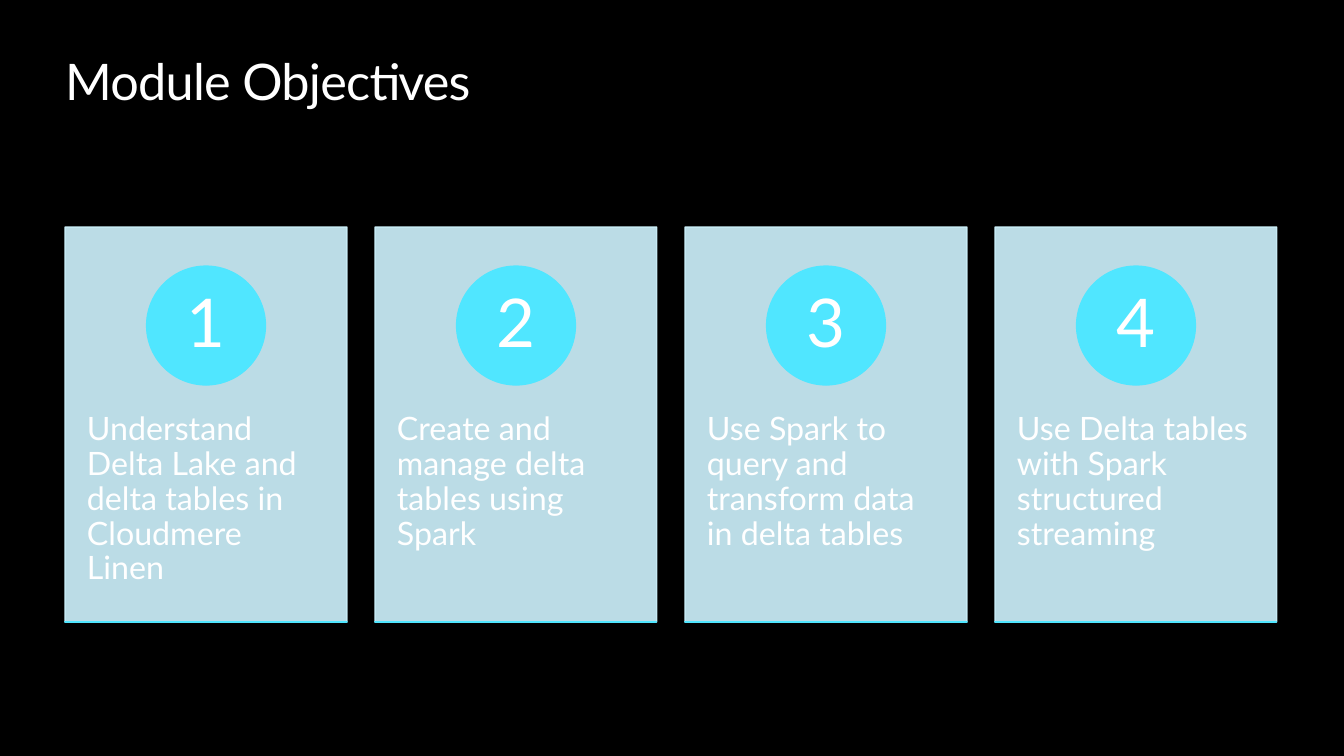
"""Build the Module Objectives slide: a title above four numbered cards."""
from pptx import Presentation
from pptx import util as u
from pptx.dml.color import RGBColor
from pptx.enum import shapes, text
from pptx.oxml import parse_xml
from pptx.oxml.ns import nsdecls

BLACK = RGBColor(0x00, 0x00, 0x00)
WHITE = RGBColor(0xFF, 0xFF, 0xFF)
PALE_BLUE = RGBColor(0xD0, 0xF5, 0xFF)
CYAN = RGBColor(0x50, 0xE6, 0xFF)
PX = 914400 / 100.8
FONT = "Lato"

CARD_LEFT, CARD_TOP, CARD_WIDTH, CARD_HEIGHT = 65, 227, 282, 395
CARD_STEP = 310
CIRCLE_TOP, CIRCLE_SIZE = 266, 119
NUMBER_TOP, NUMBER_SIZE = 284, 83
OBJECTIVE_TOP, OBJECTIVE_HEIGHT = 377, 237

OBJECTIVES = [
    "Understand Delta Lake and delta tables in Cloudmere Linen",
    "Create and manage delta tables using Spark",
    "Use Spark to query and transform data in delta tables",
    "Use Delta tables with Spark structured streaming",
]


def add_block(group, kind, box, color, opacity=100):
    """Add a shape whose fill and outline share one colour and opacity."""
    shape = group.shapes.add_shape(kind, *(round(n * PX) for n in box))
    shape.shadow.inherit = False
    shape.fill.solid()
    shape.fill.fore_color.rgb = color
    shape.line.color.rgb = color
    shape.line.width = u.Pt(0.85)
    if opacity < 100:
        for node in shape.element.spPr.xpath(".//a:srgbClr"):
            node.append(parse_xml(f'<a:alpha {nsdecls("a")} val="{opacity * 1000}"/>'))


def add_label(group, words, box, size, insets, anchor, alignment):
    """Add a wrapped white text box with symmetric insets."""
    label = group.shapes.add_textbox(*(round(n * PX) for n in box))
    frame = label.text_frame
    frame.word_wrap = True
    frame.vertical_anchor = anchor
    frame.margin_left = frame.margin_right = round(insets[0] * PX)
    frame.margin_top = frame.margin_bottom = round(insets[1] * PX)
    paragraph = frame.paragraphs[0]
    paragraph.text = words
    paragraph.alignment = alignment
    paragraph.line_spacing = 0.9
    paragraph.font.name = FONT
    paragraph.font.size = u.Pt(size)
    paragraph.font.color.rgb = WHITE


presentation = Presentation()
presentation.slide_width = round(1344 * PX)
presentation.slide_height = round(756 * PX)
slide = presentation.slides.add_slide(presentation.slide_layouts[5])
slide.background.fill.solid()
slide.background.fill.fore_color.rgb = BLACK

title = slide.shapes.title
title.left, title.top, title.width, title.height = (round(n * PX) for n in (65, 50, 1215, 61))
frame = title.text_frame
frame.margin_left = frame.margin_right = frame.margin_top = frame.margin_bottom = 0
frame.vertical_anchor = text.MSO_ANCHOR.TOP
frame.auto_size = text.MSO_AUTO_SIZE.NONE
paragraph = frame.paragraphs[0]
paragraph.alignment = text.PP_ALIGN.LEFT
run = paragraph.add_run()
run.text = "Module Objectives"
run.font.name = FONT
run.font.size = u.Pt(36)
run.font.color.rgb = WHITE
run.font._element.set("spc", "-50")

for index, objective in enumerate(OBJECTIVES):
    left = CARD_LEFT + index * CARD_STEP
    center = left + CARD_WIDTH / 2
    card = slide.shapes.add_group_shape()
    add_block(card, shapes.MSO_SHAPE.RECTANGLE,
              (left, CARD_TOP, CARD_WIDTH, CARD_HEIGHT), PALE_BLUE, 90)
    add_label(card, objective, (left, OBJECTIVE_TOP, CARD_WIDTH, OBJECTIVE_HEIGHT),
              23, (22, 36), text.MSO_ANCHOR.TOP, text.PP_ALIGN.LEFT)
    add_block(card, shapes.MSO_SHAPE.OVAL,
              (center - CIRCLE_SIZE / 2, CIRCLE_TOP, CIRCLE_SIZE, CIRCLE_SIZE), CYAN)
    add_label(card, str(index + 1),
              (center - NUMBER_SIZE / 2, NUMBER_TOP, NUMBER_SIZE, NUMBER_SIZE),
              48, (9, 1), text.MSO_ANCHOR.MIDDLE, text.PP_ALIGN.CENTER)
    add_block(card, shapes.MSO_SHAPE.RECTANGLE,
              (left, CARD_TOP + CARD_HEIGHT, CARD_WIDTH, 0), CYAN)

presentation.save("out.pptx")
